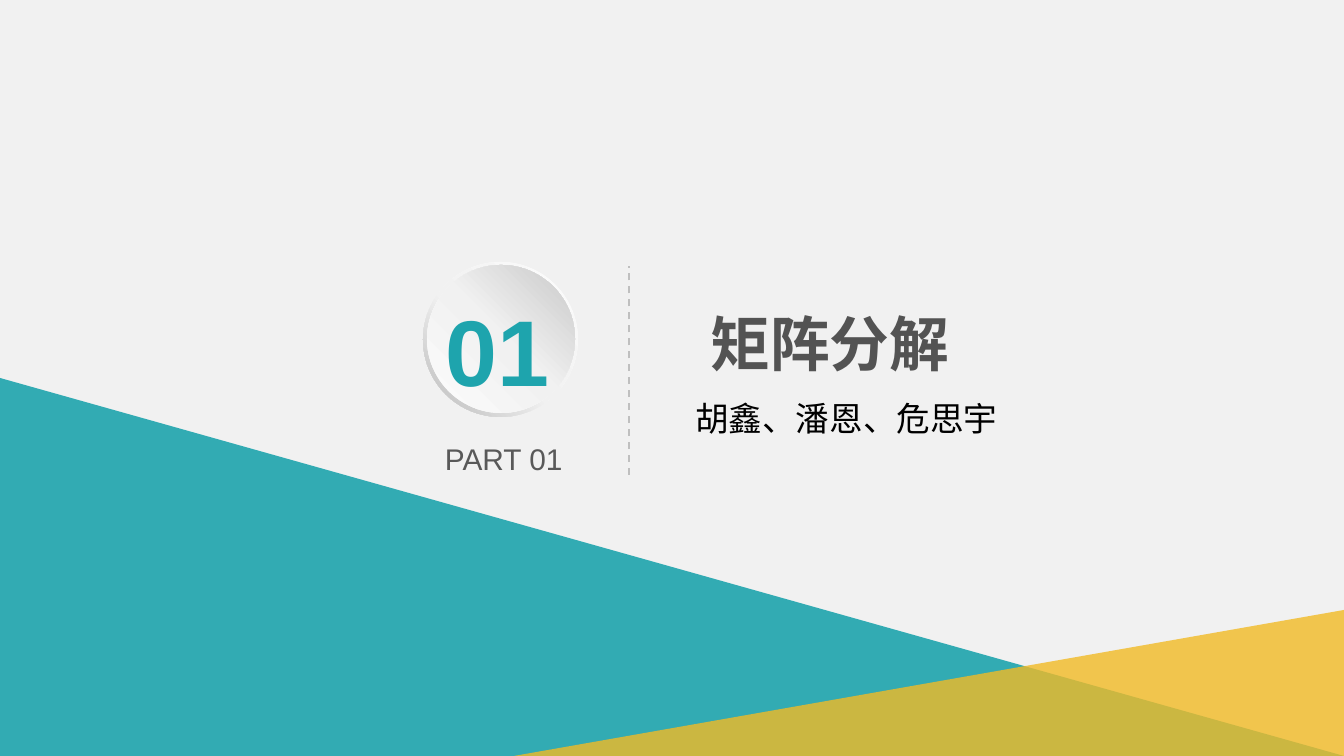
from copy import deepcopy

from lxml.etree import SubElement
from pptx import Presentation
from pptx.dml.color import RGBColor
from pptx.enum.dml import MSO_LINE
from pptx.enum.shapes import MSO_CONNECTOR, MSO_SHAPE
from pptx.enum.text import MSO_ANCHOR, PP_ALIGN
from pptx.oxml.ns import qn
from pptx.util import Pt

PX = 914400 / 134.4
WIDTH, HEIGHT = 1344, 756

BACKGROUND = RGBColor(0xF1, 0xF1, 0xF1)
TEAL = RGBColor(0x1E, 0xA4, 0xAD)
YELLOW = RGBColor(0xF2, 0xBA, 0x25)
TITLE_GRAY = RGBColor(0x53, 0x53, 0x53)
LABEL_GRAY = RGBColor(0x59, 0x59, 0x59)
DIVIDER_GRAY = RGBColor(0xBF, 0xBF, 0xBF)
BLACK = RGBColor(0, 0, 0)
HIGHLIGHT = RGBColor(0xFC, 0xFC, 0xFC)
RING_SHADE = RGBColor(0xB8, 0xB8, 0xB8)
DISC_SHADE = RGBColor(0xC8, 0xC8, 0xC8)
CJK_FONT = "Noto Sans CJK SC"


def px(value):
    return round(value * PX)


def add_triangle(slide, points, color, opacity):
    """Draw a borderless triangle; opacity is in percent."""
    builder = slide.shapes.build_freeform(*points[0], scale=PX)
    builder.add_line_segments(points[1:], close=True)
    shape = builder.convert_to_shape()
    shape.shadow.inherit = False
    shape.line.fill.background()
    shape.fill.solid()
    shape.fill.fore_color.rgb = color
    color_element = shape._element.spPr.find(".//" + qn("a:srgbClr"))
    SubElement(color_element, qn("a:alpha"), val=str(opacity * 1000))


def add_gradient_shape(slide, kind, left, top, size, stops, angle):
    """Draw a round shape with three (position, color) gradient stops."""
    shape = slide.shapes.add_shape(kind, px(left), px(top), px(size), px(size))
    shape.shadow.inherit = False
    shape.line.fill.background()
    shape.fill.gradient()
    shape.fill.gradient_angle = angle
    stop_list = shape._element.spPr.find(".//" + qn("a:gsLst"))
    stop_list.append(deepcopy(stop_list[0]))
    for stop, (position, color) in zip(shape.fill.gradient_stops, stops):
        stop.position = position
        stop.color.rgb = color
    return shape


def add_text(slide, box, text, size, color, font_name,
             bold=False, align=PP_ALIGN.LEFT, inset=0):
    text_box = slide.shapes.add_textbox(*map(px, box))
    frame = text_box.text_frame
    frame.word_wrap = True
    frame.vertical_anchor = MSO_ANCHOR.MIDDLE
    frame.margin_left = frame.margin_right = px(inset)
    frame.margin_top = frame.margin_bottom = 0
    paragraph = frame.paragraphs[0]
    paragraph.text = text
    paragraph.alignment = align
    font = paragraph.font
    font.size = Pt(size)
    font.bold = bold
    font.color.rgb = color
    font.name = font_name
    properties = paragraph._p.pPr.find(qn("a:defRPr"))
    SubElement(properties, qn("a:ea"), typeface=CJK_FONT)


def add_divider(slide, x, top, bottom):
    line = slide.shapes.add_connector(
        MSO_CONNECTOR.STRAIGHT, px(x), px(bottom), px(x), px(top))
    line.line.color.rgb = DIVIDER_GRAY
    line.line.width = Pt(1)
    line.line.dash_style = MSO_LINE.DASH
    SubElement(line._element.spPr, qn("a:effectLst"))


def add_number_badge(slide):
    ring = add_gradient_shape(
        slide, MSO_SHAPE.DONUT, 423, 262, 155,
        [(0, HIGHLIGHT), (0.55, BACKGROUND), (1, RING_SHADE)], angle=225)
    ring.adjustments[0] = 0.05
    add_gradient_shape(
        slide, MSO_SHAPE.OVAL, 427, 265, 148,
        [(0, HIGHLIGHT), (0.51, BACKGROUND), (1, DISC_SHADE)], angle=45)
    add_text(slide, (446, 293, 129, 113), "01", 50, TEAL, "Arial", bold=True)


def main():
    presentation = Presentation()
    presentation.slide_width = px(WIDTH)
    presentation.slide_height = px(HEIGHT)
    slide = presentation.slides.add_slide(presentation.slide_layouts[6])
    slide.background.fill.solid()
    slide.background.fill.fore_color.rgb = BACKGROUND

    add_triangle(slide, [(0, 378), (WIDTH, HEIGHT), (0, HEIGHT)], TEAL, 90)
    add_triangle(slide, [(WIDTH, 610), (514, HEIGHT), (WIDTH, HEIGHT)],
                 YELLOW, 80)

    add_text(slide, (592, 302, 476, 82), "矩阵分解", 32, TITLE_GRAY, CJK_FONT,
             bold=True, align=PP_ALIGN.CENTER, inset=9)
    add_divider(slide, 629, 266, 475)
    add_text(slide, (445, 441, 133, 36), "PART 01", 16, LABEL_GRAY, "Arial")
    add_number_badge(slide)
    add_text(slide, (682, 391, 488, 54), "胡鑫、潘恩、危思宇", 18, BLACK,
             "Calibri", inset=13)

    presentation.save("out.pptx")


if __name__ == "__main__":
    main()
